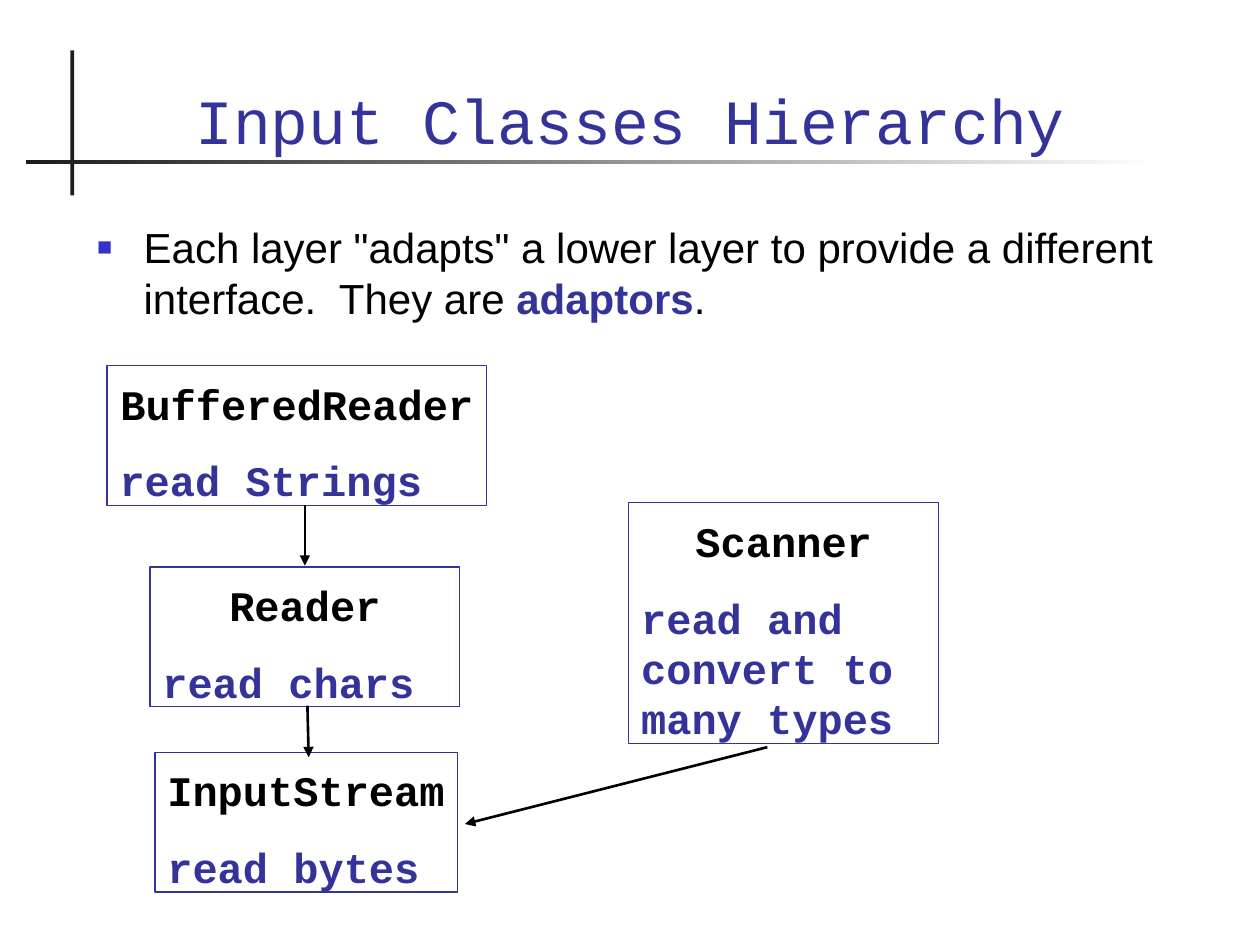
"""Build the slide on the hierarchy of input classes."""
from dataclasses import dataclass

import pptx
import pptx.dml.color
import pptx.enum.shapes
import pptx.enum.text
import pptx.oxml
import pptx.oxml.ns
import pptx.util

COLORS = {"ink": "000000", "accent": "333399", "bullet": "3333CC", "rule": "1C1C1C", "paper": "FFFFFF"}
WIDTH, HEIGHT = pptx.util.Inches(10), pptx.util.Inches(7.5)
COLUMNS, ROWS = 100, 75
MONO, SANS = "Courier New", "Arial"
ALIGN = pptx.enum.text.PP_ALIGN
ANCHOR = pptx.enum.text.MSO_ANCHOR
RECTANGLE = pptx.enum.shapes.MSO_SHAPE.RECTANGLE


@dataclass
class Layer:
    name: str
    task: str
    area: tuple[float, float, float, float]
    align: ALIGN = ALIGN.CENTER
    wrap: bool = True


@dataclass
class Arrow:
    start: tuple[float, float]
    end: tuple[float, float]


LAYERS = [
    Layer("InputStream", "read bytes", (12.3, 59.7, 24, 11.1), ALIGN.LEFT, False),
    Layer("Reader", "read chars", (11.9, 45, 24.6, 11.1)),
    Layer("BufferedReader", "read Strings", (8.5, 29, 30.1, 11.1)),
    Layer("Scanner", "read and convert to many types", (49.9, 39.9, 24.6, 19.1)),
]
ARROWS = [
    Arrow((24.4, 56), (24.5, 60.1)),
    Arrow((24.2, 40.1), (24.2, 44.9)),
    Arrow((60.9, 59.3), (36.9, 65.4)),
]


def color(name: str) -> pptx.dml.color.RGBColor:
    return pptx.dml.color.RGBColor.from_string(COLORS[name])


def across(column: float) -> int:
    return round(WIDTH * column / COLUMNS)


def down(row: float) -> int:
    return round(HEIGHT * row / ROWS)


def place(area: tuple[float, float, float, float]) -> tuple[int, int, int, int]:
    left, top, width, height = area
    return across(left), down(top), across(width), down(height)


def move(box, area: tuple[float, float, float, float]) -> None:
    box.left, box.top, box.width, box.height = place(area)


def set_frame(frame, top: float = 0.05, bottom: float = 0.05, anchor=ANCHOR.TOP, wrap: bool = True) -> None:
    frame.word_wrap = wrap
    frame.auto_size = pptx.enum.text.MSO_AUTO_SIZE.NONE
    frame.vertical_anchor = anchor
    frame.margin_left = frame.margin_right = pptx.util.Inches(0.1)
    frame.margin_top, frame.margin_bottom = pptx.util.Inches(top), pptx.util.Inches(bottom)


def set_paragraph(para, align=ALIGN.LEFT, before: float = 0, line: float | None = 28.8) -> None:
    para.alignment = align
    para.space_before = pptx.util.Pt(before)
    if line:
        para.line_spacing = pptx.util.Pt(line)


def add_text(para, text: str, *, font: str = MONO, size: float = 24, ink: str = "ink", bold: bool = False) -> None:
    span = para.add_run()
    span.text = text
    span.font.name, span.font.size, span.font.bold = font, pptx.util.Pt(size), bold
    span.font.color.rgb = color(ink)


def add_element(parent, markup: str) -> None:
    tag, rest = markup.split(" ", 1) if " " in markup else (markup, "")
    parent.append(pptx.oxml.parse_xml(f"<a:{tag} {pptx.oxml.ns.nsdecls('a')} {rest}/>"))


def add_bullet(para) -> None:
    properties = para._p.get_or_add_pPr()
    properties.set("marL", str(pptx.util.Inches(0.37)))
    properties.set("indent", str(pptx.util.Inches(-0.37)))
    tint = pptx.oxml.parse_xml(f"<a:buClr {pptx.oxml.ns.nsdecls('a')}/>")
    add_element(tint, f'srgbClr val="{COLORS["bullet"]}"')
    properties.append(tint)
    add_element(properties, 'buSzPct val="60000"')
    add_element(properties, 'buChar char="■"')


def draw_rules(page) -> None:
    for area in ((5.6, 4, 0.3, 11.5), (2.1, 12.7, 89.9, 0.3)):
        bar = page.shapes.add_shape(RECTANGLE, *place(area))
        bar.shadow.inherit = False
        bar.line.fill.background()
        bar.fill.solid()
        bar.fill.fore_color.rgb = color("rule")
    bar.fill.gradient()
    bar.fill.gradient_angle = 180
    for stop, name in zip(bar.fill.gradient_stops, ("paper", "rule")):
        stop.color.rgb = color(name)


def fill_title(box) -> None:
    move(box, (6.7, 3, 86.6, 9.5))
    set_frame(box.text_frame, bottom=0, anchor=ANCHOR.BOTTOM)
    para = box.text_frame.paragraphs[0]
    set_paragraph(para, ALIGN.CENTER, line=None)
    add_text(para, "Input Classes Hierarchy", size=36, ink="accent")


def fill_body(box) -> None:
    move(box, (6.7, 16.9, 86.6, 10.3))
    set_frame(box.text_frame, top=0.07)
    para = box.text_frame.paragraphs[0]
    add_bullet(para)
    set_paragraph(para)
    add_text(para, 'Each layer "adapts" a lower layer to provide a different interface.  They are ', font=SANS)
    add_text(para, "adaptors", font=SANS, ink="accent", bold=True)
    add_text(para, ".", font=SANS)


def draw_layer(page, layer: Layer) -> None:
    box = page.shapes.add_shape(RECTANGLE, *place(layer.area))
    box.shadow.inherit = False
    box.fill.background()
    box.line.color.rgb = color("accent")
    box.line.width = pptx.util.Pt(0.75)
    frame = box.text_frame
    set_frame(frame, top=0.1, bottom=0, wrap=layer.wrap)
    name, task = frame.paragraphs[0], frame.add_paragraph()
    set_paragraph(name, layer.align)
    add_text(name, layer.name, bold=True)
    set_paragraph(task, before=15)
    add_text(task, layer.task, ink="accent", bold=True)


def draw_arrow(page, arrow: Arrow) -> None:
    (left, top), (right, bottom) = arrow.start, arrow.end
    line = page.shapes.add_connector(
        pptx.enum.shapes.MSO_CONNECTOR.STRAIGHT, across(left), down(top), across(right), down(bottom)
    )
    line.line.color.rgb = color("ink")
    line.line.width = pptx.util.Pt(1.5)
    add_element(line.line._get_or_add_ln(), 'tailEnd type="triangle"')
    add_element(line._element.spPr, "effectLst")


def main() -> None:
    deck = pptx.Presentation()
    deck.slide_width, deck.slide_height = WIDTH, HEIGHT
    page = deck.slides.add_slide(deck.slide_layouts[1])
    draw_rules(page)
    fill_title(page.shapes.title)
    fill_body(page.placeholders[1])
    for layer in LAYERS:
        draw_layer(page, layer)
    for arrow in ARROWS:
        draw_arrow(page, arrow)
    deck.save("out.pptx")


if __name__ == "__main__":
    main()
